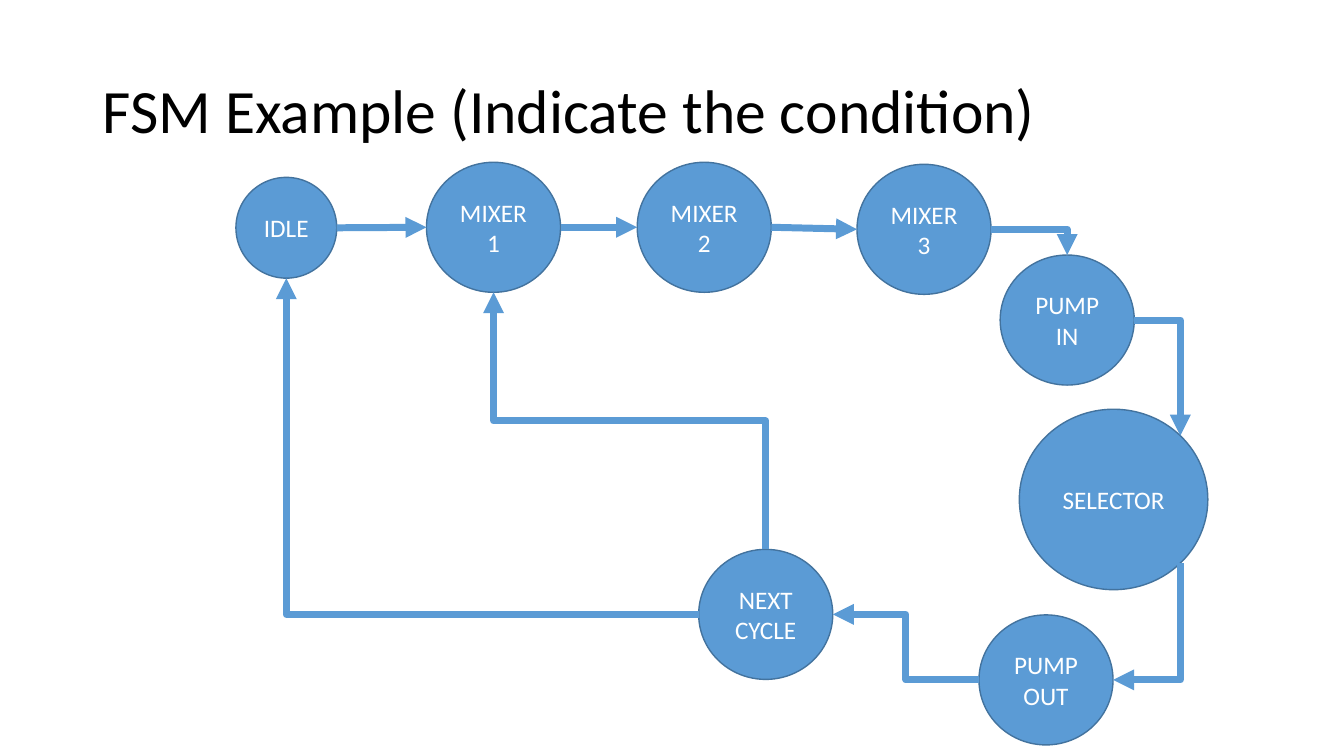
from math import cos, radians, sin, sqrt

from lxml.etree import SubElement
from pptx import Presentation
from pptx.dml.color import RGBColor
from pptx.enum.shapes import MSO_CONNECTOR as Connector, MSO_SHAPE as Shape
from pptx.enum.text import MSO_ANCHOR as Anchor, MSO_AUTO_SIZE as AutoSize, PP_ALIGN as Align
from pptx.oxml.ns import qn
from pptx.util import Inches, Pt

BLACK = RGBColor(0x00, 0x00, 0x00)
WHITE = RGBColor(0xFF, 0xFF, 0xFF)
BLUE = RGBColor(0x5B, 0x9B, 0xD5)
DARK_BLUE = RGBColor(0x43, 0x73, 0x9E)
FONT = "Calibri"

SMALL, MEDIUM, LARGE = (1, 1), (1.33, 1.29), (1.87, 1.79)
STATES = {
    "IDLE": (0, 0.15, SMALL),
    "MIXER1": (1.89, 0, MEDIUM),
    "MIXER2": (3.98, 0, MEDIUM),
    "MIXER3": (6.16, 0.02, MEDIUM),
    "PUMP\nIN": (7.58, 0.92, MEDIUM),
    "SELECTOR": (7.77, 2.45, LARGE),
    "PUMP\nOUT": (7.37, 4.49, MEDIUM),
    "NEXT CYCLE": (4.59, 3.84, MEDIUM),
}

DIAGONAL = sqrt(0.5)
TOP, BOTTOM, LEFT, RIGHT = (0, -1), (0, 1), (-1, 0), (1, 0)
TOP_RIGHT, BOTTOM_RIGHT = (DIAGONAL, -DIAGONAL), (DIAGONAL, DIAGONAL)
STRAIGHT, ONE_BEND, TWO_BENDS = "line", "bentConnector2", "bentConnector3"
TRANSITIONS = [
    ("IDLE", RIGHT, "MIXER1", LEFT, STRAIGHT, 0),
    ("MIXER1", RIGHT, "MIXER2", LEFT, STRAIGHT, 0),
    ("MIXER2", RIGHT, "MIXER3", LEFT, STRAIGHT, 0),
    ("MIXER3", RIGHT, "PUMP\nIN", TOP, ONE_BEND, 0),
    ("PUMP\nIN", RIGHT, "SELECTOR", TOP_RIGHT, ONE_BEND, 0),
    ("SELECTOR", BOTTOM_RIGHT, "PUMP\nOUT", RIGHT, ONE_BEND, 90),
    ("PUMP\nOUT", LEFT, "NEXT CYCLE", RIGHT, TWO_BENDS, 180),
    ("NEXT CYCLE", LEFT, "IDLE", BOTTOM, ONE_BEND, 180),
    ("NEXT CYCLE", TOP, "MIXER1", BOTTOM, TWO_BENDS, 270),
]


def format_text(text_frame, size, color, align):
    text_frame.word_wrap = True
    text_frame.vertical_anchor = Anchor.MIDDLE
    for paragraph in text_frame.paragraphs:
        paragraph.alignment = align
        for run in paragraph.runs:
            run.font.name = FONT
            run.font.size = Pt(size)
            run.font.color.rgb = color


def add_title(slide, left, top, width, height):
    title = slide.shapes.title
    title.left, title.top = Inches(left), Inches(top)
    title.width, title.height = Inches(width), Inches(height)
    title.text_frame.text = "FSM Example (Indicate the condition)"
    title.text_frame.auto_size = AutoSize.NONE
    title.text_frame.paragraphs[0].line_spacing = 0.9
    format_text(title.text_frame, 44, BLACK, Align.LEFT)


def add_state(slide, name, left, top, size):
    width, height = size
    state = slide.shapes.add_shape(
        Shape.OVAL, Inches(left), Inches(top), Inches(width), Inches(height))
    state.shadow.inherit = False
    state.fill.solid()
    state.fill.fore_color.rgb = BLUE
    state.line.color.rgb = DARK_BLUE
    state.line.width = Pt(1)
    state.text_frame.text = name
    format_text(state.text_frame, 18, WHITE, Align.CENTER)
    return state


def rim_point(state, direction):
    across, down = direction
    return (state.left + state.width * (1 + across) / 2,
            state.top + state.height * (1 + down) / 2)


def add_transition(slide, start, end, preset, rotation):
    center_x, center_y = (start[0] + end[0]) / 2, (start[1] + end[1]) / 2
    across, down = (end[0] - start[0]) / 2, (end[1] - start[1]) / 2
    cosine, sine = cos(radians(rotation)), sin(radians(rotation))
    half_width = across * cosine + down * sine
    half_height = down * cosine - across * sine
    kind = Connector.STRAIGHT if preset == STRAIGHT else Connector.ELBOW
    arrow = slide.shapes.add_connector(
        kind,
        round(center_x - half_width), round(center_y - half_height),
        round(center_x + half_width), round(center_y + half_height))
    arrow.line.color.rgb = BLUE
    arrow.line.width = Pt(5)
    properties = arrow._element.spPr
    properties.find(qn("a:prstGeom")).set("prst", preset)
    if rotation:
        properties.find(qn("a:xfrm")).set("rot", str(rotation * 60000))
    SubElement(properties.find(qn("a:ln")), qn("a:tailEnd"), type="triangle")
    SubElement(properties, qn("a:effectLst"))


def add_state_machine(slide, left, top):
    states = {
        name: add_state(slide, name, left + across, top + down, size)
        for name, (across, down, size) in STATES.items()
    }
    for source, exit_side, target, entry_side, preset, rotation in TRANSITIONS:
        add_transition(
            slide, rim_point(states[source], exit_side),
            rim_point(states[target], entry_side), preset, rotation)


def main():
    presentation = Presentation()
    presentation.slide_width = Inches(13.33)
    presentation.slide_height = Inches(7.5)
    slide = presentation.slides.add_slide(presentation.slide_layouts[5])
    add_title(slide, 0.92, 0.4, 11.5, 1.45)
    add_state_machine(slide, 2.34, 1.61)
    presentation.save("out.pptx")


if __name__ == "__main__":
    main()
